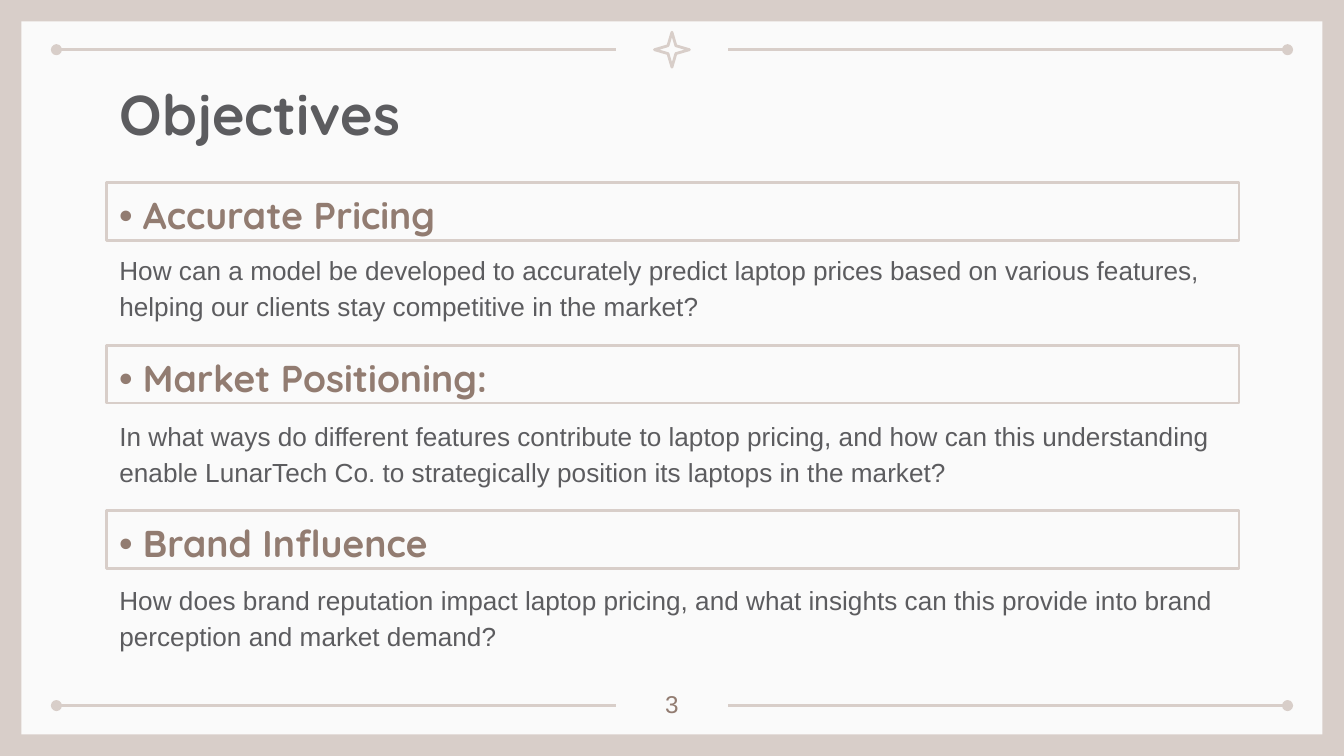
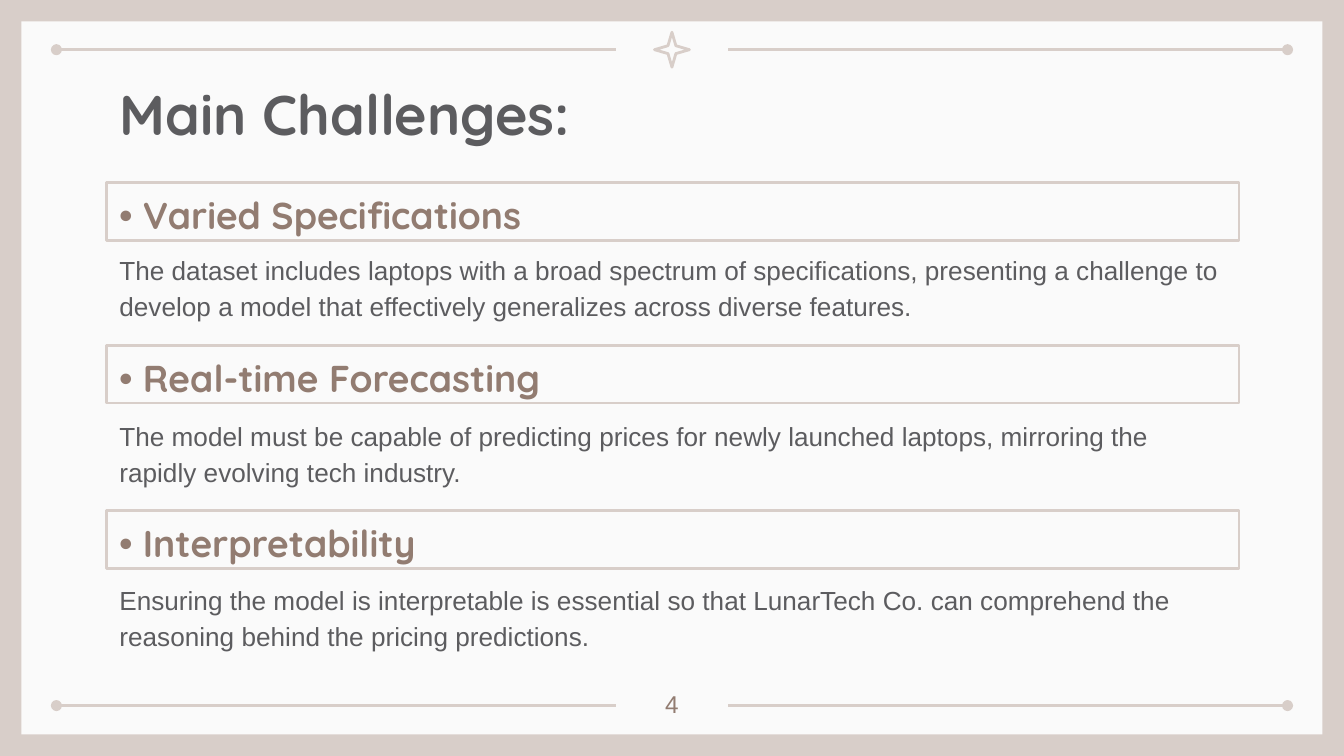
from lxml import etree
from pptx import Presentation
from pptx.dml.color import RGBColor
from pptx.enum import shapes, text
from pptx.oxml.ns import qn
from pptx.util import Inches, Pt

SAND, PAPER, BROWN, GREY = "D8CEC9", "FAFAFA", "927C71", "5C5C5F"
HEADING_FONT, BODY_FONT = "Quicksand", "Arial"

FIRST_NUMBER = 3
SLIDES = [
    ("Objectives", [
        ("Accurate Pricing",
         "How can a model be developed to accurately predict laptop prices based on "
         "various features, helping our clients stay competitive in the market?"),
        ("Market Positioning:",
         "In what ways do different features contribute to laptop pricing, and how can this "
         "understanding enable LunarTech Co. to strategically position its laptops in the market?"),
        ("Brand Influence",
         "How does brand reputation impact laptop pricing, and what insights can this "
         "provide into brand perception and market demand?"),
    ]),
    ("Main Challenges:", [
        ("Varied Specifications",
         "The dataset includes laptops with a broad spectrum of specifications, presenting a "
         "challenge to develop a model that effectively generalizes across diverse features."),
        ("Real-time Forecasting",
         "The model must be capable of predicting prices for newly launched laptops, "
         "mirroring the rapidly evolving tech industry."),
        ("Interpretability",
         "Ensuring the model is interpretable is essential so that LunarTech Co. can "
         "comprehend the reasoning behind the pricing predictions."),
    ]),
]

SLIDE_WIDTH = 10
SLIDE_HEIGHT = SLIDE_WIDTH * 9 / 16
BORDER = 0.16
RULE_TOPS = (0.37, 5.25)
RULE_OUTER, RULE_INNER = 0.42, 4.58
STAR_SIZE = 0.26
LEFT, WIDTH = 0.79, 8.43
HEADING_TOPS, HEADING_HEIGHT = (1.36, 2.57, 3.8), 0.43
BODY_TOPS, BODY_HEIGHT = (1.76, 2.99, 4.21), 0.58


def color(value):
    return RGBColor.from_string(value)


def write(shape, words, *, size, font, ink, bold=False, spacing=1.0,
          align=text.PP_ALIGN.LEFT, anchor=text.MSO_ANCHOR.TOP):
    frame = shape.text_frame
    frame.word_wrap = True
    frame.auto_size = text.MSO_AUTO_SIZE.NONE
    frame.vertical_anchor = anchor
    frame.margin_left = frame.margin_right = Inches(0.1)
    frame.margin_top = frame.margin_bottom = Inches(0.1)
    paragraph = frame.paragraphs[0]
    paragraph.alignment = align
    paragraph.line_spacing = spacing
    run = paragraph.add_run()
    run.text = words
    run.font.size = Pt(size)
    run.font.name = font
    run.font.bold = bold
    run.font.color.rgb = color(ink)


def add_panel(slide, kind, left, top, width, height, fill=None, line=None):
    shape = slide.shapes.add_shape(
        kind, Inches(left), Inches(top), Inches(width), Inches(height))
    shape.shadow.inherit = False
    if fill:
        shape.fill.solid()
        shape.fill.fore_color.rgb = color(fill)
    else:
        shape.fill.background()
    if line:
        shape.line.color.rgb = color(line)
        shape.line.width = Pt(1.5)
    else:
        shape.line.fill.background()
    return shape


def add_text(slide, words, left, top, width, height, **style):
    box = slide.shapes.add_textbox(
        Inches(left), Inches(top), Inches(width), Inches(height))
    write(box, words, **style)


def add_rule(slide, start, end, top, dotted_end):
    """Draw a horizontal rule with a dot at its headEnd or tailEnd."""
    rule = slide.shapes.add_connector(
        shapes.MSO_CONNECTOR.STRAIGHT, Inches(start), Inches(top), Inches(end), Inches(top))
    rule.line.color.rgb = color(SAND)
    rule.line.width = Pt(1.5)
    properties = rule.element.spPr
    etree.SubElement(properties.find(qn("a:ln")), qn(f"a:{dotted_end}"), type="oval")
    etree.SubElement(properties, qn("a:effectLst"))


def add_frame(slide):
    add_panel(slide, shapes.MSO_SHAPE.RECTANGLE, BORDER, BORDER,
              SLIDE_WIDTH - 2 * BORDER, SLIDE_HEIGHT - 2 * BORDER, fill=PAPER)
    for top in RULE_TOPS:
        add_rule(slide, RULE_OUTER, RULE_INNER, top, "headEnd")
        add_rule(slide, SLIDE_WIDTH - RULE_INNER, SLIDE_WIDTH - RULE_OUTER, top, "tailEnd")
    star = add_panel(slide, shapes.MSO_SHAPE.STAR_4_POINT, (SLIDE_WIDTH - STAR_SIZE) / 2,
                     RULE_TOPS[0] - STAR_SIZE / 2, STAR_SIZE, STAR_SIZE, line=SAND)
    star.adjustments[0] = 0.16


def add_title(slide, words):
    title = slide.shapes.title
    title.left, title.top = Inches(LEFT), Inches(0.49)
    title.width, title.height = Inches(WIDTH), Inches(0.63)
    write(title, words, size=30, font=HEADING_FONT, ink=GREY, bold=True)
    slide.shapes.element.append(title.element)  # bring in front of the paper


def add_topics(slide, topics):
    for (_, body), top in zip(topics, BODY_TOPS):
        add_text(slide, body, LEFT, top, WIDTH, BODY_HEIGHT,
                 size=14, font=BODY_FONT, ink=GREY, spacing=1.15)
    for (heading, _), top in zip(topics, HEADING_TOPS):
        box = add_panel(slide, shapes.MSO_SHAPE.RECTANGLE, LEFT, top, WIDTH,
                        HEADING_HEIGHT, line=SAND)
        write(box, f"• {heading}", size=20, font=HEADING_FONT, ink=BROWN, bold=True,
              spacing=1.15, anchor=text.MSO_ANCHOR.MIDDLE)


def add_number(slide, number):
    add_text(slide, str(number), 4.7, 5.03, 0.6, 0.36, size=13, font=BODY_FONT,
             ink=BROWN, align=text.PP_ALIGN.CENTER)


def main():
    presentation = Presentation()
    presentation.slide_width = Inches(SLIDE_WIDTH)
    presentation.slide_height = Inches(SLIDE_HEIGHT)
    background = presentation.slide_master.background.fill
    background.solid()
    background.fore_color.rgb = color(SAND)
    title_only = presentation.slide_layouts[5]
    for number, (title, topics) in enumerate(SLIDES, FIRST_NUMBER):
        slide = presentation.slides.add_slide(title_only)
        add_frame(slide)
        add_title(slide, title)
        add_topics(slide, topics)
        add_number(slide, number)
    presentation.save("out.pptx")


if __name__ == "__main__":
    main()
